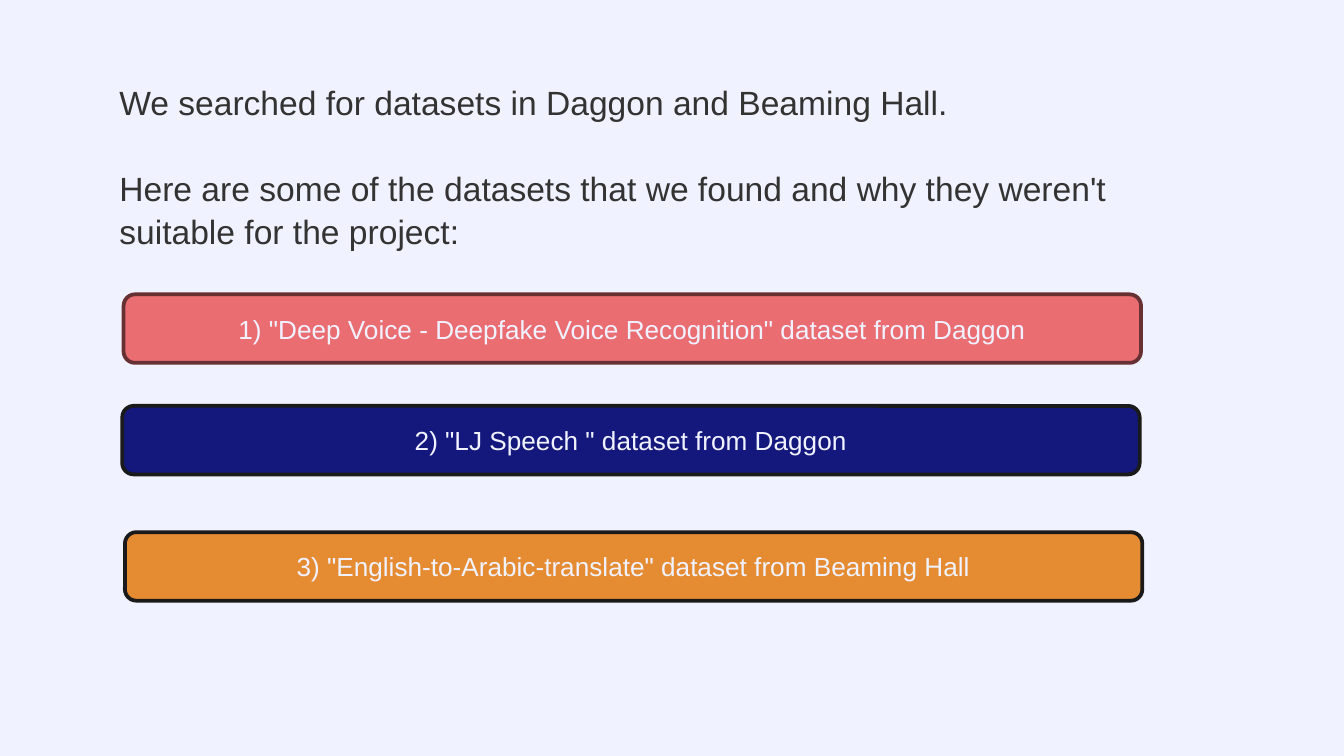
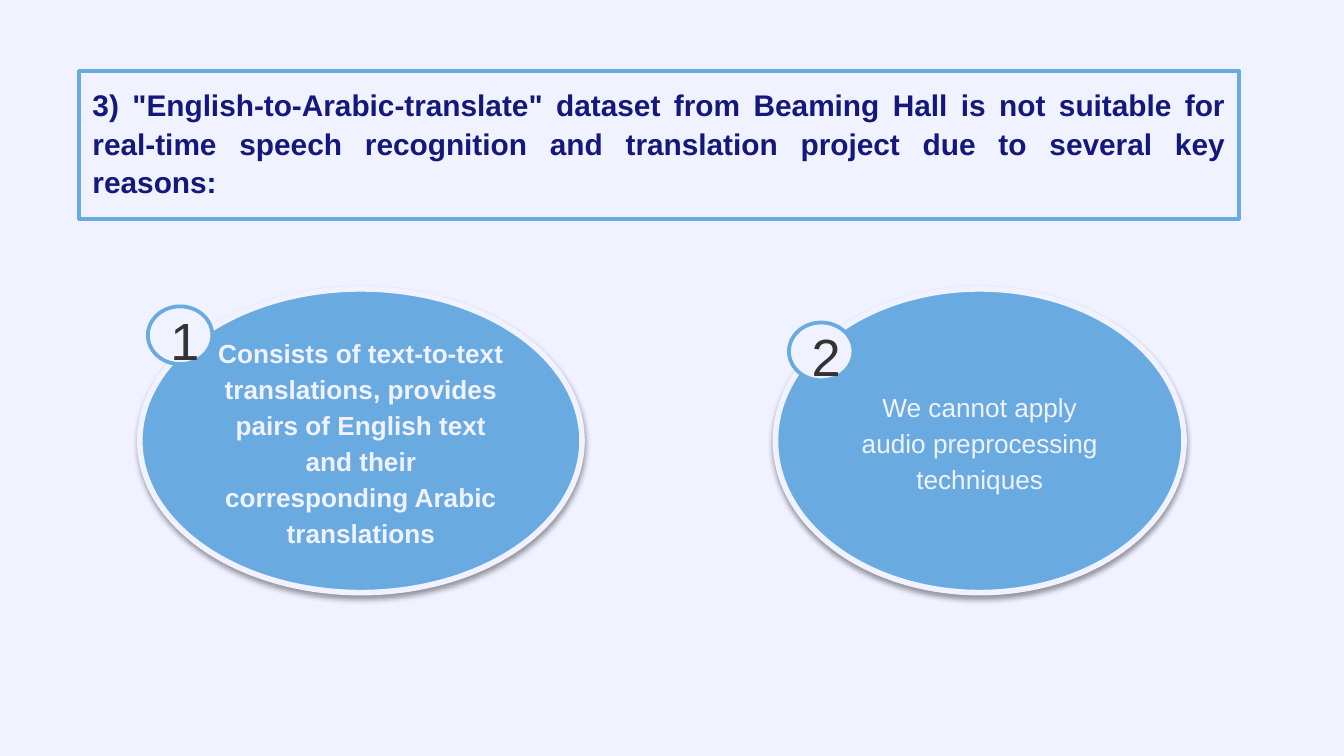
from lxml import etree
from pptx import Presentation
from pptx.dml.color import RGBColor
from pptx.enum.shapes import MSO_SHAPE
from pptx.enum.text import MSO_ANCHOR, PP_ALIGN
from pptx.oxml.ns import qn
from pptx.util import Inches, Pt

RECTANGLE, ROUNDED, OVAL = MSO_SHAPE.RECTANGLE, MSO_SHAPE.ROUNDED_RECTANGLE, MSO_SHAPE.OVAL
TOP, MIDDLE = MSO_ANCHOR.TOP, MSO_ANCHOR.MIDDLE
LEFT, CENTER, JUSTIFY = PP_ALIGN.LEFT, PP_ALIGN.CENTER, PP_ALIGN.JUSTIFY

FONT = "Arial"
PALE = RGBColor(0xF1, 0xF2, 0xFF)
DARK = RGBColor(0x33, 0x33, 0x33)
BLACK = RGBColor(0x1A, 0x1A, 0x1A)
NAVY = RGBColor(0x14, 0x18, 0x7D)
BLUE = RGBColor(0x69, 0xAB, 0xE0)
CORAL = RGBColor(0xEA, 0x6D, 0x72)
MAROON = RGBColor(0x67, 0x30, 0x32)
ORANGE = RGBColor(0xE5, 0x8C, 0x33)

INTRODUCTION = [
    "We searched for datasets in Daggon and Beaming Hall.",
    "Here are some of the datasets that we found and why they weren't "
    "suitable for the project:",
]
TRANSLATION_DATASET = '3) "English-to-Arabic-translate" dataset from Beaming Hall'
DATASETS = [
    # left, top, text, fill, outline
    (0.92, 2.19, '1) "Deep Voice - Deepfake Voice Recognition" dataset from Daggon', CORAL, MAROON),
    (0.91, 3.02, '2) "LJ Speech " dataset from Daggon', NAVY, BLACK),
    (0.93, 3.96, TRANSLATION_DATASET, ORANGE, BLACK),
]
HEADING = (TRANSLATION_DATASET + " is not suitable for real-time speech recognition "
           "and translation project due to several key reasons:")
REASONS = [
    # oval box, badge offset, text, bold
    ((1.04, 2.15, 3.29, 2.26), (0.06, 0.13),
     "Consists of text-to-text translations, provides pairs of English text "
     "and their corresponding Arabic translations", True),
    ((5.77, 2.15, 3.04, 2.26), (0.1, 0.25),
     "We cannot apply audio preprocessing techniques", False),
]


def write(shape, *texts, size, color, bold=False, align=CENTER, anchor=MIDDLE,
          line_spacing=1.0, space_after=0, vertical_inset=0.05):
    frame = shape.text_frame
    frame.word_wrap = True
    frame.vertical_anchor = anchor
    frame.margin_top = frame.margin_bottom = Inches(vertical_inset)
    for index, text in enumerate(texts):
        paragraph = frame.add_paragraph() if index else frame.paragraphs[0]
        paragraph.text = text
        paragraph.alignment = align
        paragraph.line_spacing = line_spacing
        paragraph.space_after = Pt(space_after)
        font = paragraph.font
        font.name, font.size, font.bold = FONT, Pt(size), bold
        font.color.rgb = color


def add_box(slide, kind, box, fill, outline, outline_width=2):
    shape = slide.shapes.add_shape(kind, *map(Inches, box))
    shape.shadow.inherit = False
    shape.fill.solid()
    shape.fill.fore_color.rgb = fill
    shape.line.color.rgb = outline
    shape.line.width = Pt(outline_width)
    return shape


def add_soft_shadow(shape):
    effects = shape._element.spPr.find(qn("a:effectLst"))
    shadow = etree.SubElement(effects, qn("a:outerShdw"), blurRad=str(Pt(3.1)),
                              dist=str(Pt(1.6)), dir="5400000", rotWithShape="0")
    color = etree.SubElement(shadow, qn("a:srgbClr"), val="000000")
    etree.SubElement(color, qn("a:alpha"), val="38000")


def add_slide(presentation):
    slide = presentation.slides.add_slide(presentation.slide_layouts[6])
    slide.background.fill.solid()
    slide.background.fill.fore_color.rgb = PALE
    return slide


def add_reason(slide, number, box, badge_offset, text, bold):
    """Place a shadowed oval with its numbered badge at the upper left."""
    oval = add_box(slide, OVAL, box, BLUE, PALE, 3)
    add_soft_shadow(oval)
    write(oval, text, size=14, color=PALE, bold=bold, line_spacing=1.15)
    left, top = box[0] + badge_offset[0], box[1] + badge_offset[1]
    badge = add_box(slide, OVAL, (left, top, 0.48, 0.43), PALE, BLUE)
    write(badge, str(number), size=28, color=DARK, line_spacing=1.15)


def build_datasets_slide(presentation):
    slide = add_slide(presentation)
    introduction = slide.shapes.add_textbox(*map(Inches, (0.79, 0.49, 8.43, 4.42)))
    write(introduction, *INTRODUCTION, size=18, color=DARK, align=LEFT, anchor=TOP,
          line_spacing=1.07, space_after=23, vertical_inset=0.1)
    for left, top, text, fill, outline in DATASETS:
        bar = add_box(slide, ROUNDED, (left, top, 7.57, 0.51), fill, outline)
        write(bar, text, size=14, color=PALE)


def build_reasons_slide(presentation):
    slide = add_slide(presentation)
    heading = add_box(slide, RECTANGLE, (0.59, 0.53, 8.63, 1.1), PALE, BLUE)
    write(heading, HEADING, size=16, color=NAVY, bold=True, align=JUSTIFY, anchor=TOP,
          line_spacing=1.07, space_after=8, vertical_inset=0.1)
    for number, reason in enumerate(REASONS, start=1):
        add_reason(slide, number, *reason)


def main():
    presentation = Presentation()
    presentation.slide_width = Inches(10)
    presentation.slide_height = presentation.slide_width * 9 // 16
    build_datasets_slide(presentation)
    build_reasons_slide(presentation)
    presentation.save("out.pptx")


if __name__ == "__main__":
    main()
